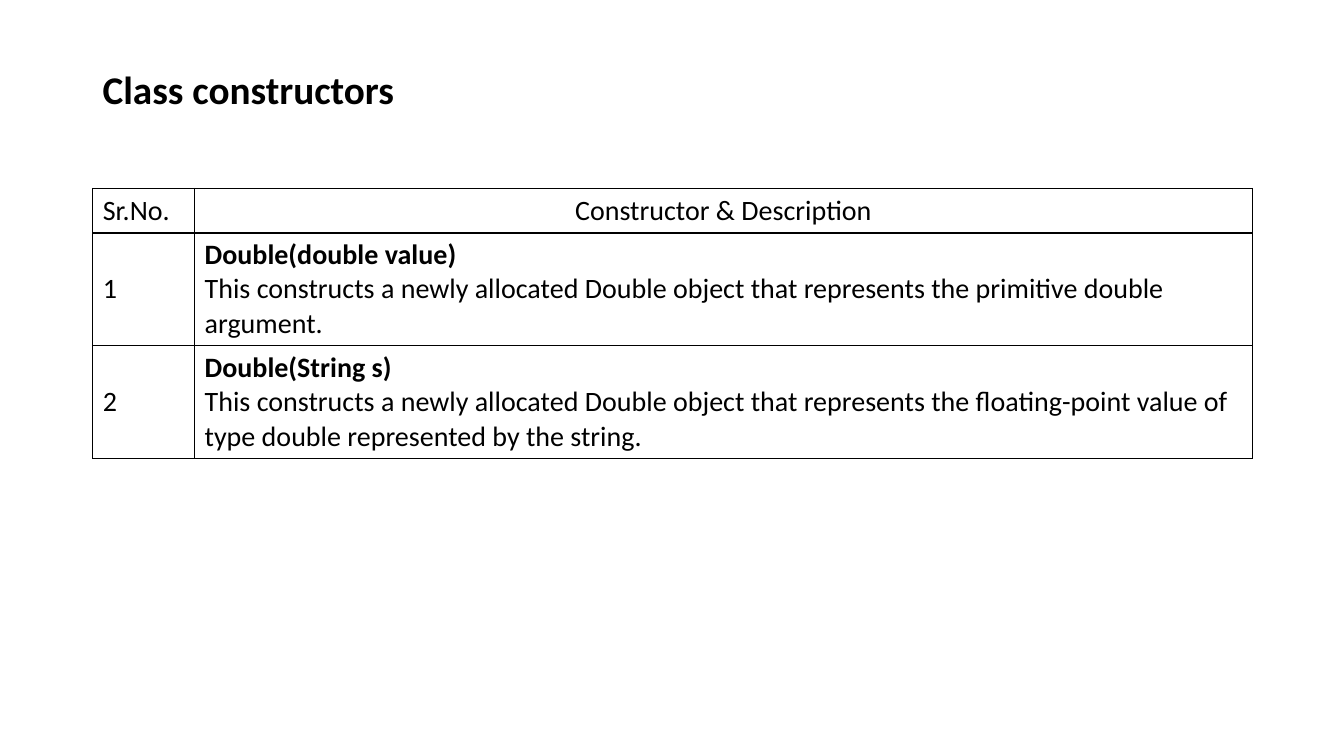
from pptx import Presentation
from pptx.dml.color import RGBColor
from pptx.enum.text import MSO_ANCHOR as Anchor, MSO_AUTO_SIZE as AutoSize, PP_ALIGN as Align
from pptx.oxml.ns import qn
from pptx.util import Inches, Pt
from lxml.etree import SubElement

INK = "000000"
LEFT, TABLE_TOP = 0.92, 1.87
COLUMNS = [1.01, 10.49]
ROWS = [0.44, 1.12, 1.12]


def write(frame, *lines, size=20, bold_first=False, align=Align.LEFT):
    for index, line in enumerate(lines):
        para = frame.add_paragraph() if index else frame.paragraphs[0]
        para.alignment = align
        span = para.add_run()
        span.text = line
        span.font.name = "Calibri"
        span.font.size = Pt(size)
        span.font.bold = bold_first and index == 0
        span.font.color.rgb = RGBColor.from_string(INK)


def outline(cell, width=1):
    props = cell._tc.get_or_add_tcPr()
    for side in ("a:lnL", "a:lnR", "a:lnT", "a:lnB"):
        line = SubElement(props, qn(side), w=str(Pt(width)))
        fill = SubElement(line, qn("a:solidFill"))
        SubElement(fill, qn("a:srgbClr"), val=INK)


deck = Presentation()
deck.slide_width, deck.slide_height = Inches(13.33), Inches(7.5)
page = deck.slides.add_slide(deck.slide_layouts[6])

# Constructor table
content = [
    [["Sr.No."], ["Constructor & Description"]],
    [["1"], ["Double(double value)",
             "This constructs a newly allocated Double object that represents "
             "the primitive double argument."]],
    [["2"], ["Double(String s)",
             "This constructs a newly allocated Double object that represents "
             "the floating-point value of type double represented by the string."]],
]
table = page.shapes.add_table(
    len(ROWS), len(COLUMNS), Inches(LEFT), Inches(TABLE_TOP),
    Inches(sum(COLUMNS)), Inches(sum(ROWS))).table
table.first_row = table.horz_banding = False
for column, width in zip(table.columns, COLUMNS):
    column.width = Inches(width)
for row, height, texts in zip(table.rows, ROWS, content):
    row.height = Inches(height)
    for cell, lines in zip(row.cells, texts):
        is_heading = lines == ["Constructor & Description"]
        write(cell.text_frame, *lines, bold_first=len(lines) > 1,
              align=Align.CENTER if is_heading else Align.LEFT)
        cell.vertical_anchor = Anchor.MIDDLE
        outline(cell)
        cell.fill.background()

# Title
box = page.shapes.add_textbox(Inches(LEFT), Inches(0.6), Inches(3.13), Inches(0.57))
box.text_frame.word_wrap = False
box.text_frame.auto_size = AutoSize.SHAPE_TO_FIT_TEXT
box.text_frame.vertical_anchor = Anchor.MIDDLE
write(box.text_frame, "Class constructors", size=28, bold_first=True)

deck.save("out.pptx")
